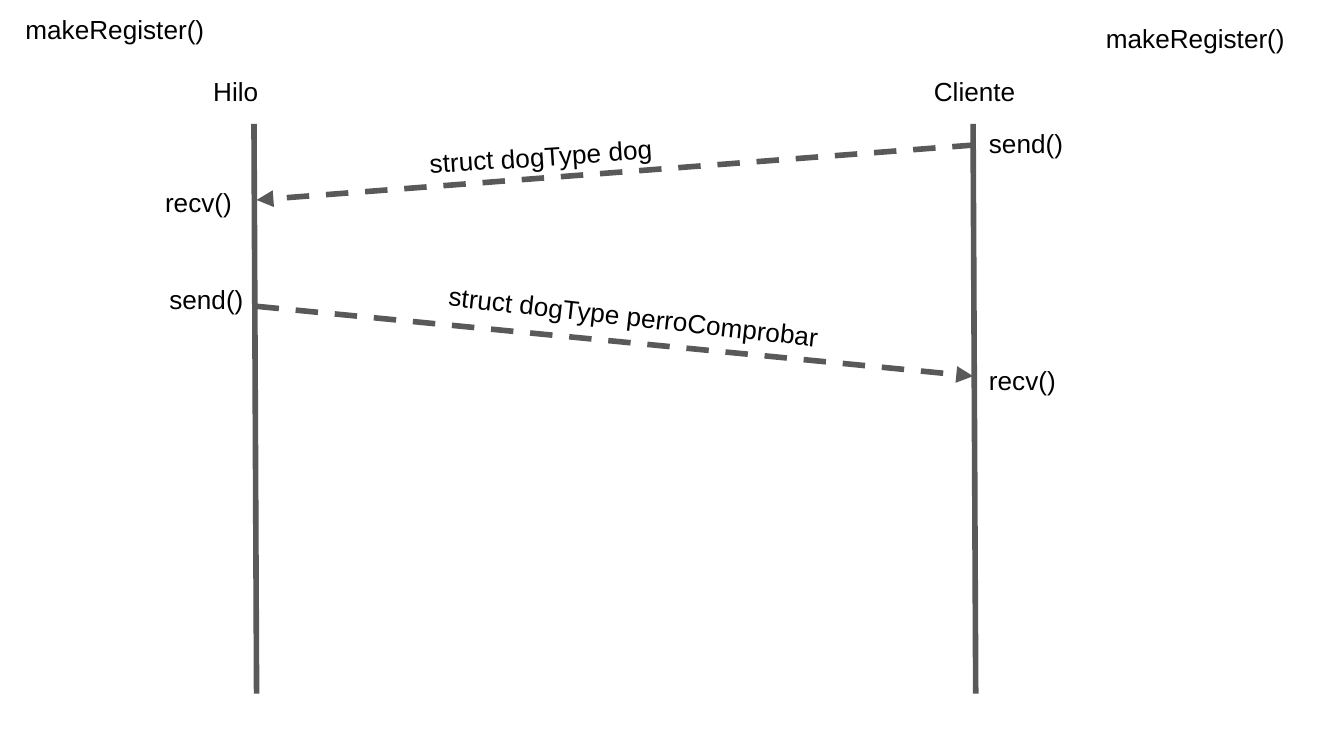
"""Build a sequence diagram of the makeRegister() exchange between thread and client."""
import pptx
import pptx.dml.color
import pptx.enum.dml
import pptx.enum.shapes
import pptx.enum.text
import pptx.oxml
import pptx.oxml.ns
import pptx.util

Cm = pptx.util.Cm
BLACK = pptx.dml.color.RGBColor(0x00, 0x00, 0x00)
GRAY = pptx.dml.color.RGBColor(0x59, 0x59, 0x59)
FONT = "Arial"
INSET = 0.25

LIFELINE_TOP, LIFELINE_BOTTOM, LIFELINE_SLANT = 2.34, 13.11, 0.05
LIFELINES = [4.8, 18.39]
MESSAGES = [
    ((18.42, 2.74), (4.85, 3.78)),
    ((4.85, 5.79), (18.39, 7.11)),
]
LABELS = [
    ("Cliente", 17.4, 1.17, 5.08, 1.17, 0),
    ("Hilo", 3.78, 1.17, 4.98, 1.17, 0),
    ("makeRegister()", 0.23, 0, 4.6, 0.86, 0),
    ("makeRegister()", 20.65, 0.18, 4.6, 0.86, 0),
    ("send()", 18.44, 2.16, 2.49, 0.86, 0),
    ("recv()", 2.87, 3.28, 2.18, 1.04, 0),
    ("struct dogType dog", 7.85, 2.36, 5.99, 0.71, -3.8),
    ("send()", 2.95, 5.11, 2.49, 0.86, 0),
    ("recv()", 18.44, 6.63, 2.18, 1.04, 0),
    ("struct dogType perroComprobar", 8.23, 5.51, 8.94, 0.71, 6.4),
]


def add_line(slide, start, end):
    connector = slide.shapes.add_connector(
        pptx.enum.shapes.MSO_CONNECTOR.STRAIGHT,
        Cm(start[0]), Cm(start[1]), Cm(end[0]), Cm(end[1]),
    )
    connector.line.color.rgb = GRAY
    connector.line.width = pptx.util.Pt(3)
    properties = connector._element.spPr
    properties.append(pptx.oxml.parse_xml(
        f"<a:effectLst {pptx.oxml.ns.nsdecls('a')}/>"))
    return connector


def add_message(slide, start, end):
    connector = add_line(slide, start, end)
    connector.line.dash_style = pptx.enum.dml.MSO_LINE.DASH
    connector.line._get_or_add_ln().append(pptx.oxml.parse_xml(
        f"<a:tailEnd {pptx.oxml.ns.nsdecls('a')} type='triangle'/>"))


def add_label(slide, text, left, top, width, height, rotation):
    box = slide.shapes.add_textbox(Cm(left), Cm(top), Cm(width), Cm(height))
    box.rotation = rotation
    frame = box.text_frame
    frame.word_wrap = True
    frame.vertical_anchor = pptx.enum.text.MSO_ANCHOR.TOP
    frame.margin_left = frame.margin_right = Cm(INSET)
    frame.margin_top = frame.margin_bottom = Cm(INSET)
    paragraph = frame.paragraphs[0]
    paragraph.text = text
    paragraph.font.name = FONT
    paragraph.font.size = pptx.util.Pt(14)
    paragraph.font.color.rgb = BLACK


def main():
    presentation = pptx.Presentation()
    presentation.slide_width = Cm(25.4)
    presentation.slide_height = Cm(14.29)
    slide = presentation.slides.add_slide(presentation.slide_layouts[6])
    for left in LIFELINES:
        add_line(slide, (left, LIFELINE_TOP),
                 (left + LIFELINE_SLANT, LIFELINE_BOTTOM))
    for start, end in MESSAGES:
        add_message(slide, start, end)
    for label in LABELS:
        add_label(slide, *label)
    presentation.save("out.pptx")


if __name__ == "__main__":
    main()
